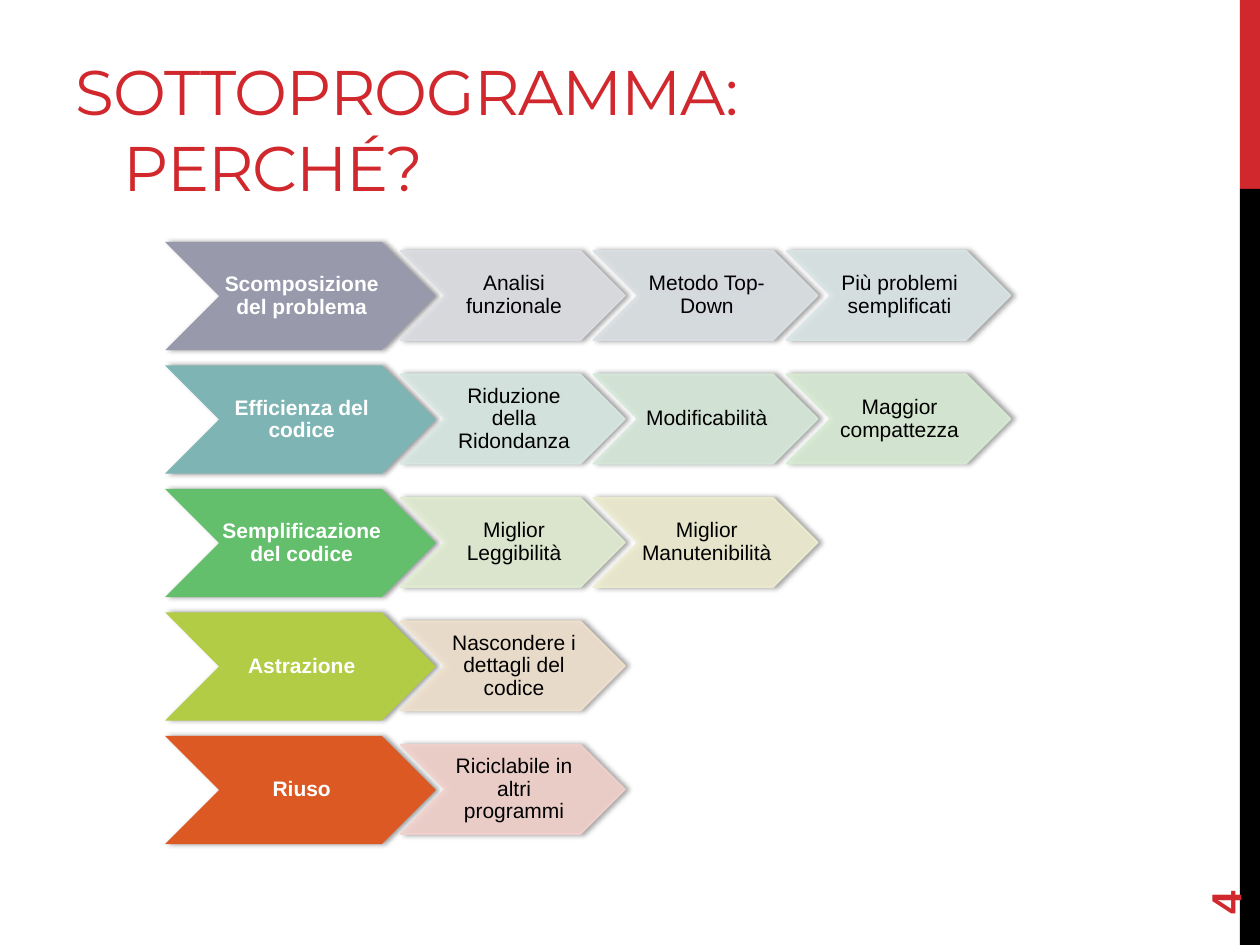
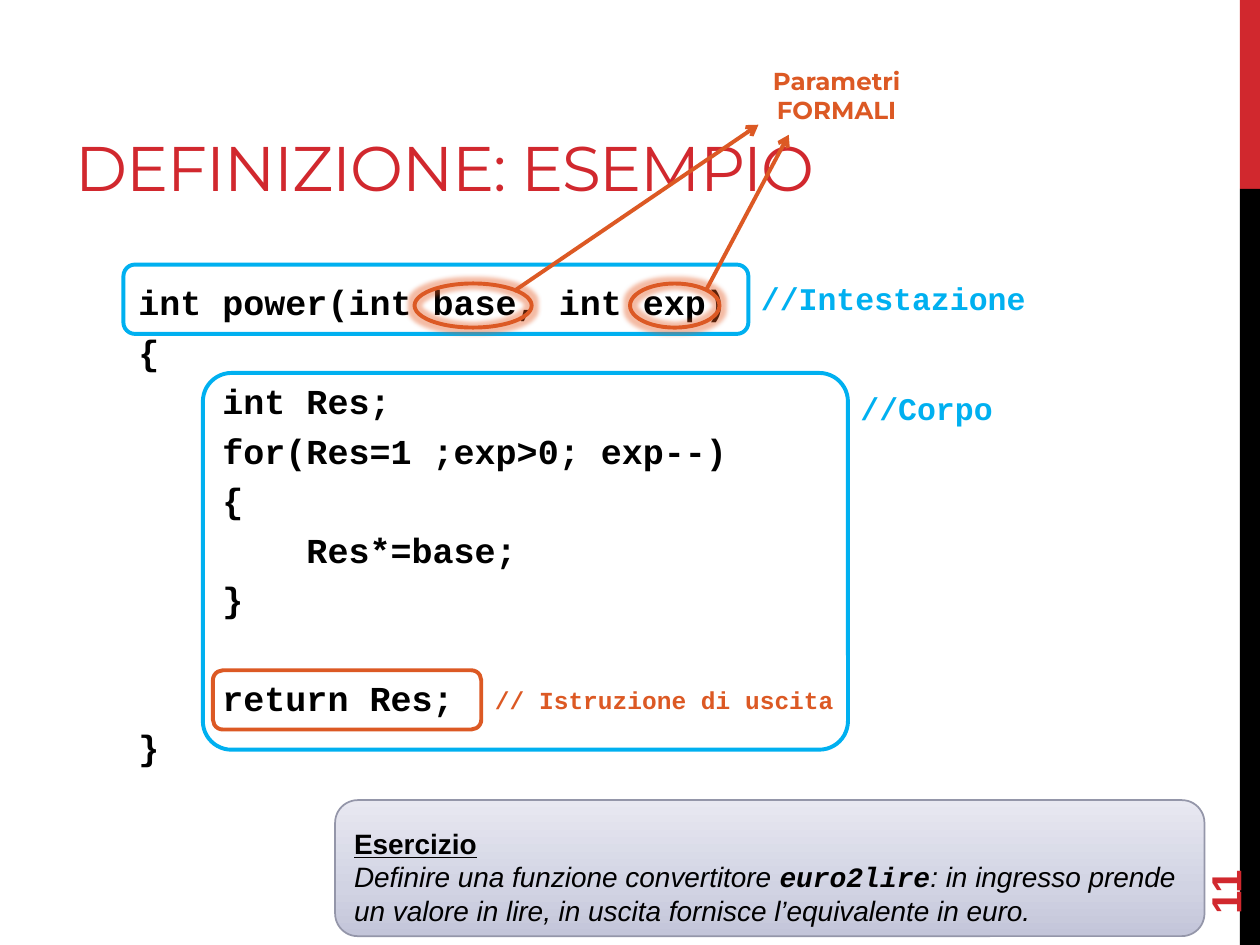
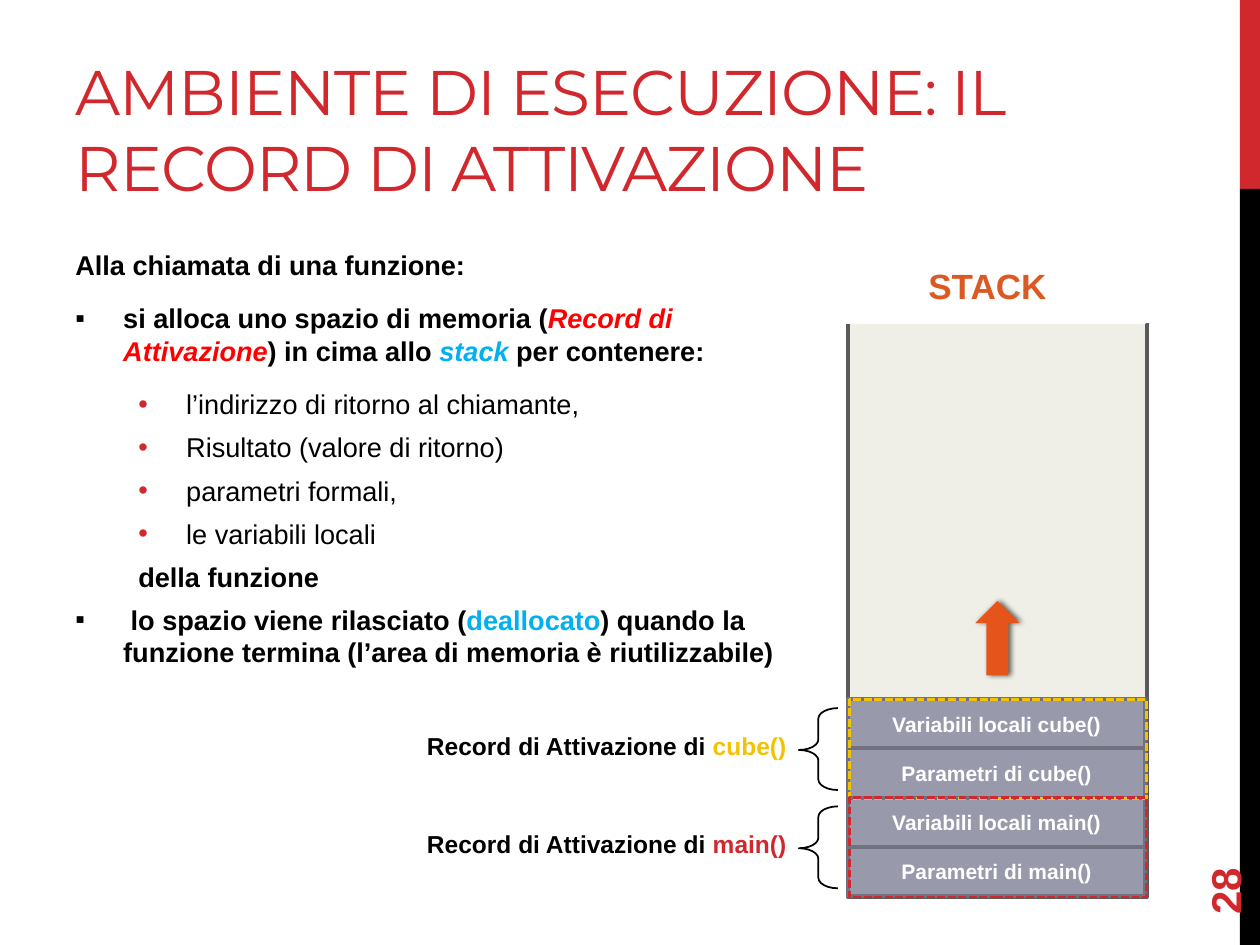
import lxml.etree
import pptx
import pptx.dml.color
import pptx.enum.dml
import pptx.enum.shapes
import pptx.enum.text
import pptx.oxml.ns
import pptx.util

Inches = pptx.util.Inches
Pt = pptx.util.Pt
SHAPE = pptx.enum.shapes.MSO_SHAPE
ALIGN = pptx.enum.text.PP_ALIGN
ANCHOR = pptx.enum.text.MSO_ANCHOR
DASH = pptx.enum.dml.MSO_LINE.SQUARE_DOT
qn = pptx.oxml.ns.qn
tint = pptx.dml.color.RGBColor.from_string

RED = tint("D1282E")
PURE_RED = tint("FF0000")
BLACK = tint("000000")
WHITE = tint("FFFFFF")
ORANGE = tint("DC5924")
ARROW = tint("E5551B")
CYAN = tint("00B0F0")
YELLOW = tint("F5C201")
SLATE = tint("989AAC")
SLATE_EDGE = tint("70727F")
WALL = tint("5A5A5A")
SAND = tint("C8C8B1")
BOX_EDGE = tint("9496A9")
BOX_STOPS = [(0, tint("C3C5D9")), (35, tint("D1D3E3")), (100, tint("E8E8F1"))]

# Lead label and colour, then the (label, colour) of each step
REASONS = [
    ("Scomposizione del problema", SLATE,
     [("Analisi funzionale", "DDDEE3"), ("Metodo Top-Down", "DBE0E4"),
      ("Più problemi semplificati", "DAE5E6")]),
    ("Efficienza del codice", tint("7FB4B4"),
     [("Riduzione della Ridondanza", "D8E8E2"), ("Modificabilità", "D6E9DA"),
      ("Maggior compattezza", "D8EBD4")]),
    ("Semplificazione del codice", tint("63BF6C"),
     [("Miglior Leggibilità", "E2EDD2"), ("Miglior Manutenibilità", "EEEDD0")]),
    ("Astrazione", tint("B2CC45"),
     [("Nascondere i dettagli del codice", "F0E1CE")]),
    ("Riuso", ORANGE, [("Riciclabile in altri programmi", "F2D1CC")]),
]

CODE = [
    "int power(int base, int exp)",
    "{",
    "    int Res;",
    "    for(Res=1 ;exp>0; exp--)",
    "    {",
    "        Res*=base;",
    "    }",
    "    return Res;",
    "}",
]


def node(parent, tag, **attrs):
    return lxml.etree.SubElement(parent, qn(tag), attrs)


def write(frame, *runs, font="Arial", size=12, color=BLACK, bold=False,
          align=ALIGN.LEFT, lines=None, before=0, after=0, left=0, hang=0,
          bullet=None, bullet_color=None, **extra):
    """Add one paragraph; each run is a string or (string, format changes)."""
    para = frame.paragraphs[0]
    if para.runs:
        para = frame.add_paragraph()
        para.space_before = Pt(before)
    props = para._p.get_or_add_pPr()
    if left:
        props.set("marL", str(Inches(left)))
        props.set("indent", str(-Inches(hang)))
    if bullet:
        if bullet_color:
            node(node(props, "a:buClr"), "a:srgbClr", val=str(bullet_color))
        node(props, "a:buFont", typeface="Arial")
        node(props, "a:buChar", char=bullet)
    para.alignment = align
    para.space_after = Pt(after)
    if lines:
        para.line_spacing = lines
    base = dict(font=font, size=size, color=color, bold=bold, **extra)
    for item in runs:
        words, change = (item, {}) if isinstance(item, str) else item
        style = {**base, **change}
        run = para.add_run()
        run.text = words
        run.font.name = style["font"]
        run.font.size = Pt(style["size"])
        run.font.color.rgb = style["color"]
        run.font.bold = style["bold"]
        run.font.italic = style.get("italic")
        run.font.underline = style.get("underline")
        if "track" in style:
            run._r.get_or_add_rPr().set("spc", str(style["track"]))


def fade(fill_parent, percent):
    """Make the solid fill under an element partly transparent."""
    color = fill_parent.find(qn("a:solidFill")).find(qn("a:srgbClr"))
    node(color, "a:alpha", val=str(percent * 1000))


def effect(shape, tag, color, percent, **attrs):
    holder = shape._element.spPr.find(qn("a:effectLst"))
    rgb = node(node(holder, tag, **attrs), "a:srgbClr", val=str(color))
    node(rgb, "a:alpha", val=str(percent * 1000))


def shade(shape, percent, blur, dist):
    effect(shape, "a:outerShdw", BLACK, percent, blurRad=str(Pt(blur)),
           dist=str(Pt(dist)), dir="0", algn="ctr", rotWithShape="0")


def paint(shape, fill=None, line=None, width=1.0, dash=None, alpha=None):
    shape.shadow.inherit = False
    if fill is None:
        shape.fill.background()
    else:
        shape.fill.solid()
        shape.fill.fore_color.rgb = fill
        if alpha:
            fade(shape._element.spPr, alpha)
    if line is None:
        shape.line.fill.background()
    else:
        shape.line.color.rgb = line
        shape.line.width = Pt(width)
        if dash:
            shape.line.dash_style = dash


def draw(slide, kind, x, y, w, h, adjust=(), **look):
    shape = slide.shapes.add_shape(kind, Inches(x), Inches(y), Inches(w), Inches(h))
    for spot, value in enumerate(adjust):
        shape.adjustments[spot] = value
    paint(shape, **look)
    return shape


def label(slide, x, y, w, h, *runs, anchor=ANCHOR.MIDDLE, **style):
    box = slide.shapes.add_textbox(Inches(x), Inches(y), Inches(w), Inches(h))
    frame = box.text_frame
    frame.word_wrap = True
    frame.vertical_anchor = anchor
    if runs:
        write(frame, *runs, **style)
    return box


def bands(prs, layout):
    """Put the side bands on the layout, so every slide shows them."""
    draft = prs.slides[0]
    for y, h, color in [(0, 1.5, RED), (1.5, 6, BLACK)]:
        band = draw(draft, SHAPE.RECTANGLE, 9.84, y, 0.16, h, fill=color)
        layout.shapes._spTree.append(band._element)


def start(prs, layout, title, number, width=6.33, **style):
    """Add a slide with its title and turned page number."""
    slide = prs.slides.add_slide(layout)
    head = slide.shapes.title
    head.left, head.top = Inches(0.5), Inches(0.17)
    head.width, head.height = Inches(width), Inches(1.5)
    head.text_frame.auto_size = pptx.enum.text.MSO_AUTO_SIZE.NONE
    head.text_frame.vertical_anchor = ANCHOR.BOTTOM
    write(head.text_frame, title, font="Montserrat", size=36, color=RED,
          track=-60, **style)
    page = label(slide, 9, 6.44, 1.44, 0.4, str(number), size=24, color=RED, bold=True)
    page.rotation = 270
    return slide


def chevron(slide, x, y, w, h, words, fill, color=BLACK, bold=False, alpha=None):
    shape = draw(slide, SHAPE.CHEVRON, x, y, w, h, fill=fill, alpha=alpha,
                 line=fill if alpha else None)
    if alpha:
        fade(shape.line._get_or_add_ln(), alpha)
    shade(shape, 40, 3.1, 1.8)
    frame = shape.text_frame
    frame.margin_left, frame.margin_right = Inches(0.02), 0
    frame.margin_top = frame.margin_bottom = Inches(0.01)
    frame.vertical_anchor = ANCHOR.MIDDLE
    write(frame, words, color=color, bold=bold, align=ALIGN.CENTER, lines=0.9)


def arrow(slide, x1, y1, x2, y2):
    line = slide.shapes.add_connector(pptx.enum.shapes.MSO_CONNECTOR.STRAIGHT,
                                      Inches(x1), Inches(y1), Inches(x2), Inches(y2))
    line.line.color.rgb = ORANGE
    line.line.width = Pt(2.25)
    node(line.line._get_or_add_ln(), "a:tailEnd", type="arrow")
    node(line._element.spPr, "a:effectLst")


def blend(shape, stops):
    """Fill a shape with a gradient that rises from the bottom."""
    shape.fill.gradient()
    shape.fill.gradient_angle = 90
    holder = shape._element.spPr.find(qn("a:gradFill")).find(qn("a:gsLst"))
    for old in list(holder):
        holder.remove(old)
    for place, color in stops:
        node(node(holder, "a:gs", pos=str(place * 1000)), "a:srgbClr", val=str(color))


def reasons(slide):
    for row, (lead, fill, steps) in enumerate(REASONS):
        y = 1.92 + 0.98 * row
        chevron(slide, 1.31, y, 2.15, 0.86, lead, fill, color=WHITE, bold=True)
        for col, (words, pale) in enumerate(steps):
            chevron(slide, 3.18 + 1.53 * col, y + 0.07, 1.78, 0.71, words,
                    tint(pale), alpha=90)


def example(slide):
    code = label(slide, 0.5, 2.18, 8.33, 4.52, anchor=ANCHOR.TOP).text_frame
    for line in CODE:
        gap = 32.3 if "return" in line else 4.25
        write(code, line, font="Courier New", size=20, bold=True, left=0.5,
              before=gap)

    round_box = SHAPE.ROUNDED_RECTANGLE
    for x, y, w, h, adjust, color in [
            (0.98, 2.1, 4.96, 0.55, (), CYAN),
            (1.61, 2.96, 5.12, 2.99, (0.076,), CYAN),
            (1.69, 5.32, 2.13, 0.47, (), ORANGE)]:
        draw(slide, round_box, x, y, w, h, adjust, line=color, width=2.25)
    for x, y, w, h, words, size, color in [
            (5.94, 2.09, 2.68, 0.55, "//Intestazione", 18, CYAN),
            (6.73, 2.96, 2.68, 0.55, "//Corpo", 18, CYAN),
            (3.83, 5.32, 2.91, 0.47, "// Istruzione di uscita", 14, ORANGE)]:
        label(slide, x, y, w, h, words, font="Courier New", size=size,
              color=color, bold=True)

    task = draw(slide, round_box, 2.66, 6.35, 6.9, 1.08, line=BOX_EDGE)
    blend(task, BOX_STOPS)
    task.text_frame.vertical_anchor = ANCHOR.MIDDLE
    write(task.text_frame, "Esercizio", size=16, bold=True, underline=True, lines=1.5)
    write(task.text_frame, "Definire una funzione convertitore ",
          ("euro2lire", dict(font="Courier New", bold=True)),
          ": in ingresso prende un valore in lire, in uscita fornisce"
          " l’equivalente in euro.", size=16, italic=True)

    for x, w in [(3.29, 0.93), (5, 0.71)]:
        ring = draw(slide, SHAPE.OVAL, x, 2.25, w, 0.35, line=ORANGE, width=2.25)
        effect(ring, "a:glow", ARROW, 40, rad=str(Pt(5)))
    label(slide, 5.58, 0.52, 2.12, 0.47, "Parametri FORMALI", font="Montserrat",
          size=14, color=ORANGE, bold=True, align=ALIGN.CENTER)
    arrow(slide, 4.08, 2.31, 6.02, 0.99)
    arrow(slide, 5.6, 2.31, 6.26, 1.07)


def notes(slide):
    """Write the bulleted text about the activation record."""
    frame = label(slide, 0.5, 1.92, 6, 3.83, anchor=ANCHOR.TOP).text_frame
    base = dict(size=15.5, before=6)
    point = dict(base, bold=True, after=6, left=0.38, hang=0.38, bullet="▪")
    write(frame, "Alla chiamata di una funzione:", bold=True, after=6, **base)
    write(frame, "si alloca uno spazio di memoria (",
          ("Record di Attivazione", dict(color=PURE_RED, italic=True)),
          ") in cima allo ", ("stack ", dict(color=CYAN, italic=True)),
          "per contenere:", **point)
    for item in ["l’indirizzo di ritorno al chiamante,",
                 "Risultato (valore di ritorno)",
                 "parametri formali,", "le variabili locali"]:
        write(frame, item, left=0.88, hang=0.38, bullet="•", bullet_color=RED, **base)
    write(frame, "della funzione", bold=True, left=0.5, **base)
    write(frame, " lo spazio viene rilasciato (", ("deallocato", dict(color=CYAN)),
          ") quando la funzione termina (l’area di memoria è riutilizzabile)", **point)


def stack(slide):
    x, top, w, h = 6.73, 2.57, 2.36, 4.55
    low, right = top + h, 9.1
    label(slide, 7.27, 2.05, 2.13, 0.44, "STACK", anchor=ANCHOR.TOP, size=20,
          color=ORANGE, bold=True)
    draw(slide, SHAPE.RECTANGLE, x, top, w, h, fill=SAND, alpha=29)
    pen = slide.shapes.build_freeform(Inches(x), Inches(top))
    pen.add_line_segments([(Inches(a), Inches(b)) for a, b in
                           [(x, low), (right, low), (right, 2.58), (9.12, 2.58)]],
                          close=False)
    paint(pen.convert_to_shape(), line=WALL, width=2.25)

    records = [("cube()", YELLOW, 5.55), ("main()", RED, 6.33)]
    for name, _, y in records:
        for part, words in enumerate(["Variabili locali ", "Parametri di "]):
            cell = draw(slide, SHAPE.RECTANGLE, x, y + 0.39 * part, w, 0.39,
                        fill=SLATE, line=SLATE_EDGE, width=2.25)
            cell.text_frame.vertical_anchor = ANCHOR.MIDDLE
            write(cell.text_frame, words + name, color=WHITE, bold=True,
                  align=ALIGN.CENTER)
    for name, color, y in records:
        draw(slide, SHAPE.LEFT_BRACE, 6.34, y + 0.07, 0.31, 0.65, (0.269, 0.511),
             line=BLACK)
        label(slide, 2.56, y + 0.2, 3.78, 0.34, "Record di Attivazione di ",
              (name, dict(color=color)), anchor=ANCHOR.TOP, size=14, bold=True,
              align=ALIGN.RIGHT)
        draw(slide, SHAPE.RECTANGLE, 6.74, y, w, 0.79, line=color, width=1.5, dash=DASH)
    shade(draw(slide, SHAPE.UP_ARROW, 7.74, 4.77, 0.35, 0.59, fill=ARROW), 60, 3, 1.5)


def main():
    prs = pptx.Presentation()
    prs.slide_width, prs.slide_height = Inches(10), Inches(7.5)
    layout = prs.slide_layouts[5]
    why = start(prs, layout, "SOTTOPROGRAMMA: PERCHÉ?", 4, left=0.38, hang=0.38)
    bands(prs, layout)
    reasons(why)
    example(start(prs, layout, "DEFINIZIONE: ESEMPIO", 11))
    record = start(prs, layout, "AMBIENTE DI ESECUZIONE: IL RECORD DI ATTIVAZIONE",
                   28, width=8.12)
    notes(record)
    stack(record)
    prs.save("out.pptx")


if __name__ == "__main__":
    main()
